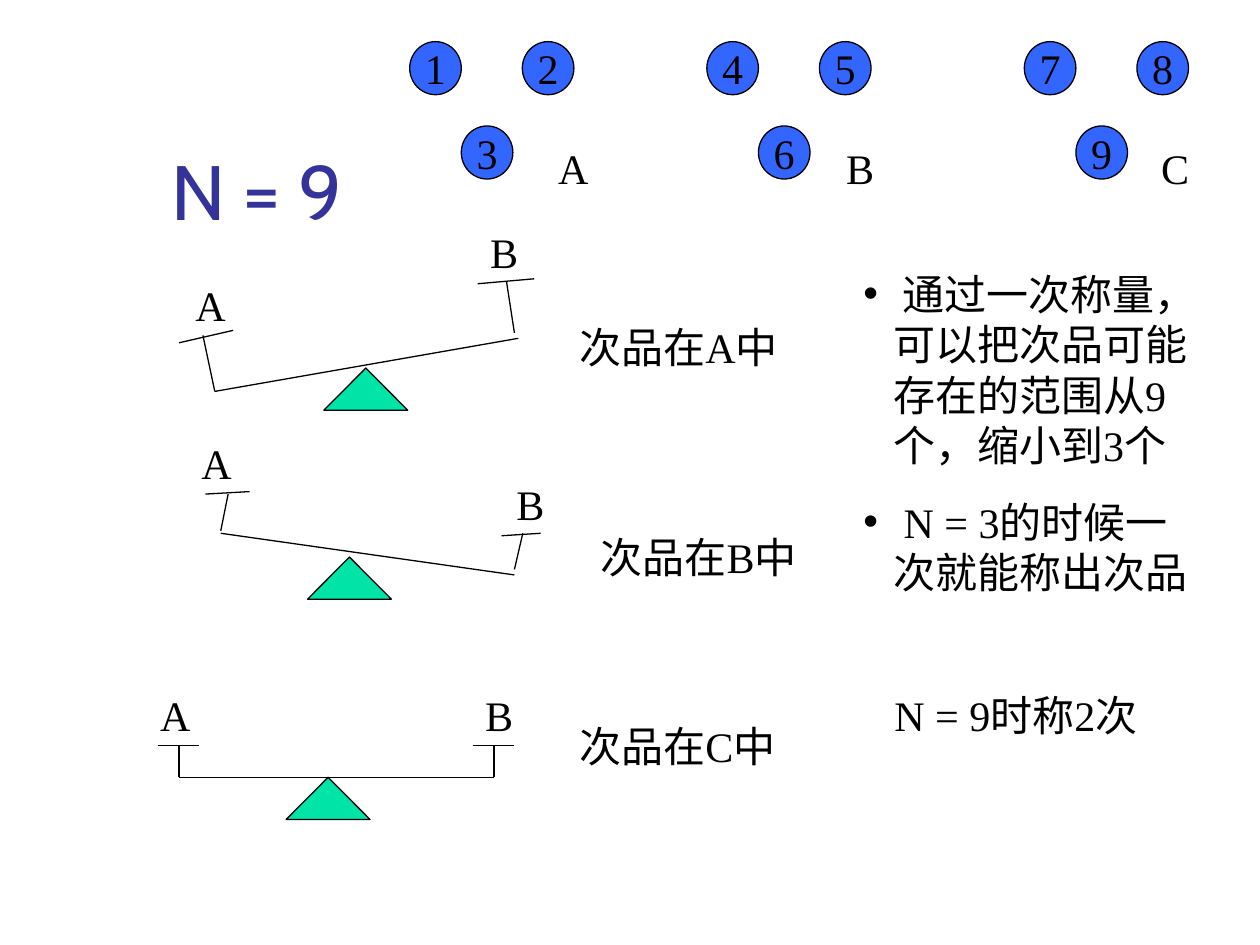
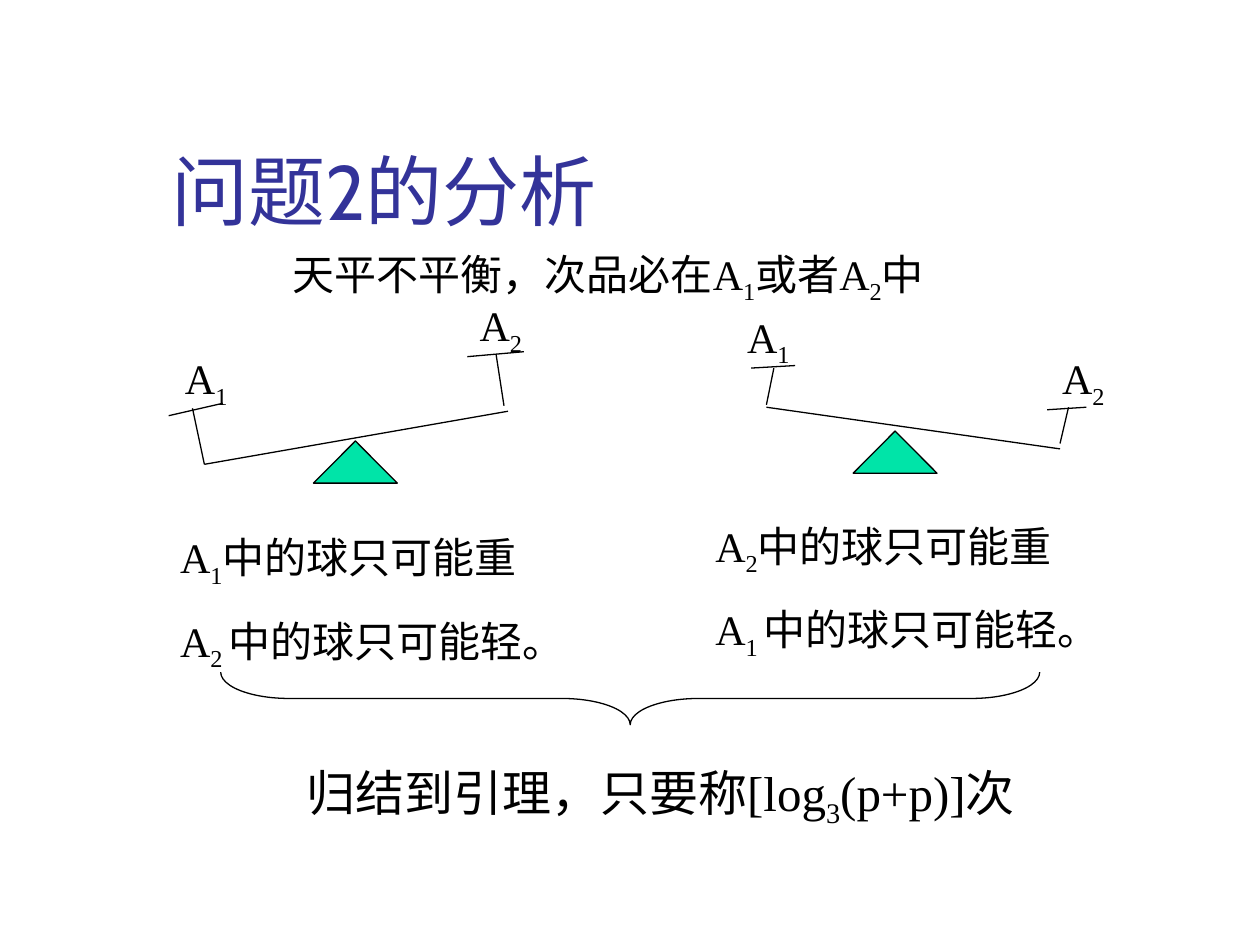
from pptx import Presentation
from pptx.dml.color import RGBColor
from pptx.enum.shapes import MSO_CONNECTOR, MSO_SHAPE
from pptx.enum.text import MSO_ANCHOR, MSO_AUTO_SIZE, PP_ALIGN
from pptx.oxml.ns import qn
from pptx.util import Cm, Pt
from lxml.etree import SubElement

COLORS = {"title": "333399", "ink": "000000", "ball": "3366FF", "pivot": "00E4A8"}
TITLE_FONT, BODY_FONT = "Cabin", "Times New Roman"
TITLE_ONLY, TITLE_AND_BODY = 5, 1

# Lines and label corners of each balance, in cm from the pivot's top left corner
BALANCES = {
    "left down": {
        "beam": (-2.2, 0.47, 3.92, -0.6),
        "posts": [(-2.2, 0.47, -2.44, -0.66), (3.84, -0.71, 3.68, -1.75)],
        "pans": [(-2.92, -0.51, -1.83, -0.76), (3.1, -1.7, 4.24, -1.8)],
        "labels": [(-2.84, -1.9), (3.1, -2.97)],
    },
    "right down": {
        "beam": (-1.75, -0.48, 4.17, 0.36),
        "posts": [(-1.75, -0.53, -1.6, -1.27), (4.17, 0.25, 4.34, -0.48)],
        "pans": [(-2.06, -1.27, -1.17, -1.32), (3.91, -0.43, 4.7, -0.48)],
        "labels": [(-2.39, -2.54), (3.96, -1.7)],
    },
    "level": {
        "beam": (-2.16, 0, 4.19, 0),
        "posts": [(-2.16, 0, -2.16, -0.64), (4.19, 0, 4.19, -0.64)],
        "pans": [(-2.59, -0.64, -1.75, -0.64), (3.76, -0.64, 4.6, -0.64)],
        "labels": [(-2.79, -1.9), (3.76, -1.9)],
    },
}


def rgb(name):
    return RGBColor.from_string(COLORS[name])


class SlideBuilder:
    """Draws styled elements on the current slide; positions are in cm."""

    def __init__(self, deck):
        self.deck = deck
        self.page = None

    def new_page(self, title, layout):
        self.page = self.deck.slides.add_slide(self.deck.slide_layouts[layout])
        box = self.page.shapes.title
        self.place(box, 3.2, 1.7, 21.64, 3.18)
        self.fill_text(box, [title], size=44, font=TITLE_FONT, color="title")
        box.text_frame.vertical_anchor = MSO_ANCHOR.BOTTOM

    def place(self, box, left, top, width, height):
        box.left, box.top = Cm(left), Cm(top)
        box.width, box.height = Cm(width), Cm(height)

    def fill_text(self, box, lines, size=24, font=BODY_FONT, color="ink",
                  align=PP_ALIGN.LEFT, wrap=True):
        """Fill a box with paragraphs; text between bars is subscript."""
        frame = box.text_frame
        frame.word_wrap = wrap
        frame.auto_size = MSO_AUTO_SIZE.NONE
        for index, line in enumerate(lines):
            para = frame.paragraphs[0] if index == 0 else frame.add_paragraph()
            para.alignment = align
            para.space_before = Pt(15 if index else 0)
            for part, piece in enumerate(line.split("|")):
                span = para.add_run()
                span.text = piece
                span.font.name = font
                span.font.size = Pt(size)
                span.font.color.rgb = rgb(color)
                if part % 2:
                    span.font._element.set("baseline", "-25000")

    def text(self, left, top, width, lines, height=1.27, **style):
        box = self.page.shapes.add_textbox(Cm(left), Cm(top), Cm(width), Cm(height))
        self.fill_text(box, lines, **style)

    def bullets(self, left, top, width, height, lines):
        box = self.page.placeholders[1]
        self.place(box, left, top, width, height)
        self.fill_text(box, lines)
        for para in box.text_frame.paragraphs:
            props = para._p.get_or_add_pPr()
            props.set("marL", str(Cm(0.6)))
            props.set("indent", str(-Cm(0.6)))

    def shape(self, kind, left, top, width, height, fill=None):
        shape = self.page.shapes.add_shape(kind, Cm(left), Cm(top), Cm(width), Cm(height))
        shape.shadow.inherit = False
        if fill:
            shape.fill.solid()
            shape.fill.fore_color.rgb = rgb(fill)
        else:
            shape.fill.background()
        shape.line.color.rgb = rgb("ink")
        shape.line.width = Pt(0.75)
        return shape

    def line(self, x1, y1, x2, y2):
        line = self.page.shapes.add_connector(
            MSO_CONNECTOR.STRAIGHT, Cm(x1), Cm(y1), Cm(x2), Cm(y2))
        line.line.color.rgb = rgb("ink")
        line.line.width = Pt(0.75)
        SubElement(line._element.spPr, qn("a:effectLst"))

    def ball(self, left, top, number):
        ball = self.shape(MSO_SHAPE.OVAL, left, top, 1.04, 1.07, "ball")
        self.fill_text(ball, [str(number)], align=PP_ALIGN.CENTER, wrap=False)
        ball.text_frame.vertical_anchor = MSO_ANCHOR.MIDDLE

    def balance(self, left, top, tilt, labels):
        parts = BALANCES[tilt]
        self.shape(MSO_SHAPE.ISOSCELES_TRIANGLE, left, top, 1.69, 0.85, "pivot")
        for x1, y1, x2, y2 in [parts["beam"], *parts["posts"], *parts["pans"]]:
            self.line(left + x1, top + y1, left + x2, top + y2)
        for (x, y), label in zip(parts["labels"], labels):
            self.text(left + x, top + y, 3.4, [label])

    def brace_down(self, left, top, width, height):
        """Brace over the given area, with its tip at the bottom."""
        brace = self.shape(MSO_SHAPE.LEFT_BRACE, left + (width - height) / 2,
                           top + (height - width) / 2, height, width)
        brace.rotation = 270
        brace.adjustments[0] = 1.3


def nine_balls(builder):
    builder.new_page("N = 9", TITLE_AND_BODY)
    ball_offsets = [(0, 0), (2.27, 0), (1.04, 1.7)]
    groups = [("A", 8.26, 11), ("B", 14.25, 16.81), ("C", 20.65, 23.16)]
    for index, (name, left, label_left) in enumerate(groups):
        for number, (dx, dy) in enumerate(ball_offsets, 3 * index + 1):
            builder.ball(left + dx, 0.84 + dy, number)
        builder.text(label_left, 2.74, 1.6, [name])

    weighings = [
        ("left down", 6.53, 7.42, "A", 11.43, 6.35),
        ("right down", 6.2, 11.23, "B", 11.86, 10.59),
        ("level", 5.77, 15.67, "C", 11.43, 14.4),
    ]
    for tilt, left, top, group, text_left, text_top in weighings:
        builder.balance(left, top, tilt, ["A", "B"])
        builder.text(text_left, text_top, 5.5, [f"次品在{group}中"])

    builder.bullets(17.15, 5.28, 7.42, 6.88, [
        " 通过一次称量，可以把次品可能存在的范围从9个，缩小到3个",
        " N = 3的时候一次就能称出次品",
    ])
    builder.text(17.78, 13.77, 6.78, ["N = 9时称2次"])


def second_problem(builder):
    builder.new_page("问题2的分析", TITLE_ONLY)
    builder.text(2.74, 4.88, 19.05, ["天平不平衡，次品必在A|1|或者A|2|中"],
                 align=PP_ALIGN.CENTER)
    cases = [
        ("left down", 6.32, 8.89, 3.38, 10.59, 1, 2),
        ("right down", 17.2, 8.69, 14.17, 10.36, 2, 1),
    ]
    for tilt, left, top, text_left, text_top, heavy, light in cases:
        builder.balance(left, top, tilt, ["A|1", "A|2"])
        builder.text(text_left, text_top, 11.23,
                     [f"A|{heavy}|中的球只可能重", f"A|{light} |中的球只可能轻。"],
                     height=3.1)
    builder.brace_down(4.45, 13.55, 16.51, 1.06)
    builder.text(5.28, 15.24, 16.08, ["归结到引理，只要称[log|3|(p+p)]次"],
                 height=1.6, size=28, align=PP_ALIGN.CENTER)


def main():
    deck = Presentation()
    deck.slide_width, deck.slide_height = Cm(25.4), Cm(19.05)
    builder = SlideBuilder(deck)
    nine_balls(builder)
    second_problem(builder)
    deck.save("out.pptx")


if __name__ == "__main__":
    main()
